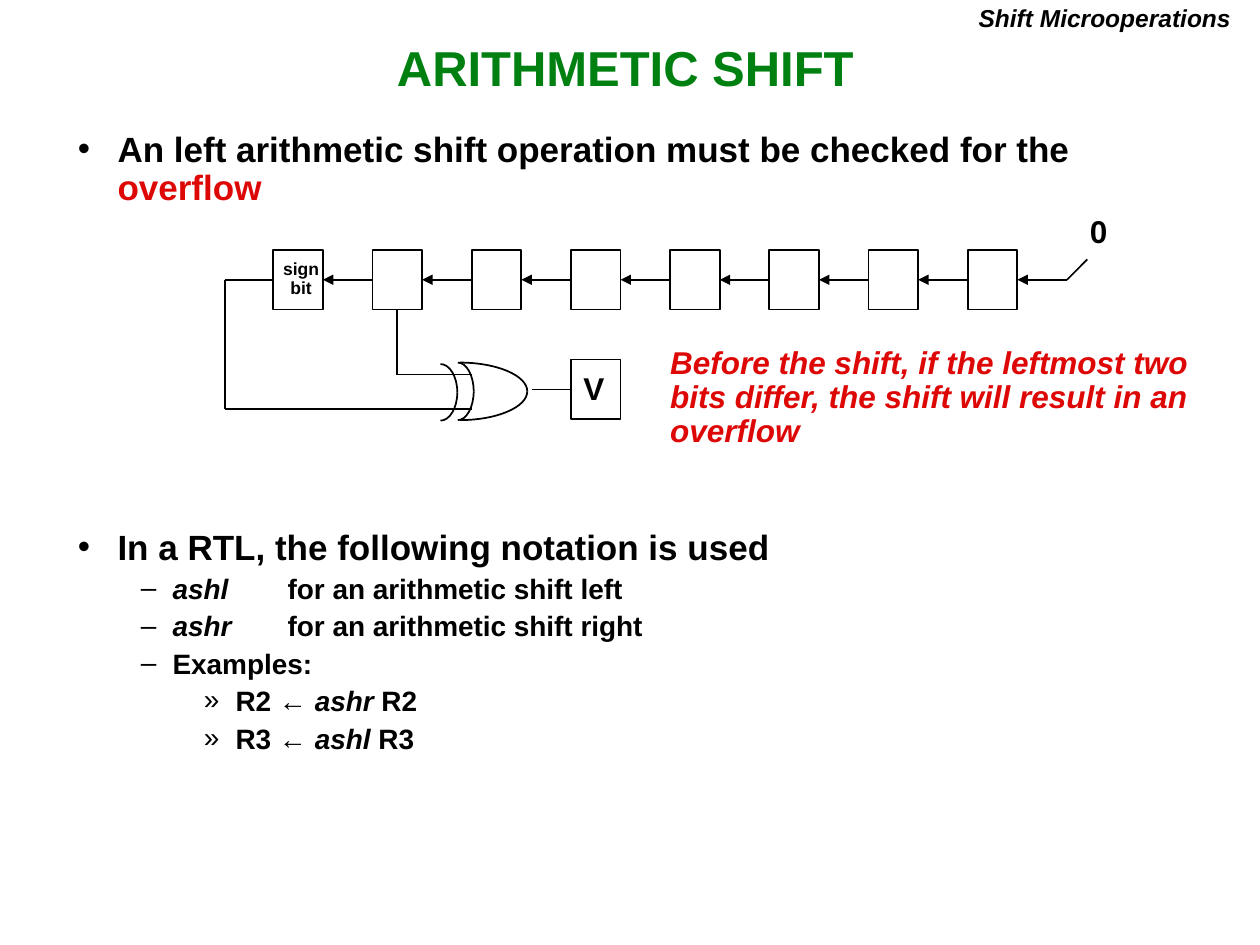
import itertools
from dataclasses import dataclass

from lxml import etree
from pptx import Presentation
from pptx.dml import color
from pptx.enum import shapes, text
from pptx.oxml import ns
from pptx.util import Cm, Pt

BLACK, GREEN, RED = "000000", "008011", "DD0806"
LEFT, CENTER, RIGHT = text.PP_ALIGN.LEFT, text.PP_ALIGN.CENTER, text.PP_ALIGN.RIGHT
SIDE_LEFT, SIDE_BOTTOM, SIDE_RIGHT = 1, 2, 3


@dataclass
class Run:
    text: str
    color: str = ""
    italic: bool = False


@dataclass
class Level:
    bullet: str
    margin: float
    indent: float
    size: float
    before: float
    tab: float = 0


@dataclass
class Item:
    level: Level
    runs: list[Run]


@dataclass
class Label:
    lines: list[str]
    left: float
    top: float
    width: float
    height: float
    size: float
    color: str = BLACK
    italic: bool = False
    align: text.PP_ALIGN = LEFT
    wrap: bool = False


@dataclass
class GateArc:
    """Upper and lower quarter ellipses that bulge to the right."""
    left: float
    center: float
    width: float
    height: float


POINT = Level("•", 0.8, -0.8, 20, 7.5)
SUBPOINT = Level("–", 1.91, -0.64, 16, 6, tab=4.23)
EXAMPLE = Level("»", 3.18, -0.64, 16, 6)

OVERFLOW_CHECK = [
    Item(POINT, [Run("An left arithmetic shift operation must be checked for the "),
                 Run("overflow", RED)]),
]
NOTATION = [
    Item(POINT, [Run("In a RTL, the following notation is used")]),
    Item(SUBPOINT, [Run("ashl\t", italic=True), Run("for an arithmetic shift left")]),
    Item(SUBPOINT, [Run("ashr\t", italic=True), Run("for an arithmetic shift right")]),
    Item(SUBPOINT, [Run("Examples:")]),
    Item(EXAMPLE, [Run("R2 ← "), Run("ashr", italic=True), Run(" R2")]),
    Item(EXAMPLE, [Run("R3 ← "), Run("ashl", italic=True), Run(" R3")]),
]
LABELS = [
    Label(["ARITHMETIC SHIFT"], 0.4, 0.76, 24.41, 1.22, 28, GREEN, align=CENTER, wrap=True),
    Label(["Shift Microoperations"], 19.48, 0, 5.59, 0.79, 14, italic=True, align=RIGHT),
    Label(["0"], 21.72, 4.24, 0.86, 0.94, 18),
    Label(["sign", "bit"], 5.42, 5.13, 1.3, 1.02, 10, align=CENTER),
    Label(["V"], 11.51, 7.41, 0.91, 0.94, 18),
    Label(["Before the shift, if the leftmost two",
           "bits differ, the shift will result in an",
           "overflow"], 13.26, 6.88, 10.97, 2.31, 18, RED, italic=True),
]

BITS, PITCH, CELL_W, CELL_H = 8, 2.0, 1.0, 1.2
REGISTER_X, REGISTER_Y = 5.51, 5.04
WIRE_Y = REGISTER_Y + CELL_H / 2
OVERFLOW_X, OVERFLOW_Y = 11.51, 7.25
FEEDBACK_X, UPPER_INPUT_Y, LOWER_INPUT_Y, INPUT_END_X = 4.53, 7.55, 8.24, 9.52
GATE_ARCS = [
    GateArc(9.27, 7.89, 1.36, 0.58),
    GateArc(9.23, 7.89, 0.32, 0.58),
    GateArc(8.88, 7.91, 0.34, 0.57),
]
ELLIPSE_HANDLE = 0.55


def rgb(value: str) -> color.RGBColor:
    return color.RGBColor.from_string(value)


def style_font(font, size: float, shade: str) -> None:
    font.name, font.size, font.bold = "Arial", Pt(size), True
    font.color.rgb = rgb(shade)


def style_outline(shape) -> None:
    shape.line.color.rgb = rgb(BLACK)
    shape.line.width = Pt(1)


def add_frame(slide, left: float, top: float, width: float, height: float, wrap: bool):
    frame = slide.shapes.add_textbox(Cm(left), Cm(top), Cm(width), Cm(height)).text_frame
    frame.word_wrap = wrap
    return frame


def nth_paragraph(frame, index: int):
    return frame.add_paragraph() if index else frame.paragraphs[0]


def add_label(slide, label: Label) -> None:
    frame = add_frame(slide, label.left, label.top, label.width, label.height, label.wrap)
    for index, line in enumerate(label.lines):
        paragraph = nth_paragraph(frame, index)
        paragraph.text = line
        paragraph.alignment = label.align
        paragraph.line_spacing = 0.9
        style_font(paragraph.font, label.size, label.color)
        paragraph.font.italic = label.italic


def add_bullet(paragraph, level: Level) -> None:
    properties = paragraph._p.get_or_add_pPr()
    properties.set("marL", str(Cm(level.margin)))
    properties.set("indent", str(Cm(level.indent)))
    bullet_color = etree.SubElement(properties, ns.qn("a:buClr"))
    etree.SubElement(bullet_color, ns.qn("a:srgbClr"), val=BLACK)
    etree.SubElement(properties, ns.qn("a:buFont"), typeface="Arial")
    etree.SubElement(properties, ns.qn("a:buChar"), char=level.bullet)
    if level.tab:
        tabs = etree.SubElement(properties, ns.qn("a:tabLst"))
        etree.SubElement(tabs, ns.qn("a:tab"), pos=str(Cm(level.tab)), algn="l")


def add_outline(slide, items: list[Item], top: float, height: float, spacing: float) -> None:
    frame = add_frame(slide, 1.32, top, 22.2, height, True)
    for index, item in enumerate(items):
        paragraph = nth_paragraph(frame, index)
        add_bullet(paragraph, item.level)
        paragraph.line_spacing = spacing
        paragraph.space_before = Pt(item.level.before if index else 0)
        style_font(paragraph.font, item.level.size, BLACK)
        for part in item.runs:
            run = paragraph.add_run()
            run.text = part.text
            if part.color:
                run.font.color.rgb = rgb(part.color)
            if part.italic:
                run.font.italic = True


def add_cell(slide, left: float, top: float):
    cell = slide.shapes.add_shape(
        shapes.MSO_SHAPE.RECTANGLE, Cm(left), Cm(top), Cm(CELL_W), Cm(CELL_H))
    cell.shadow.inherit = False
    cell.fill.background()
    style_outline(cell)
    return cell


def add_wire(slide, start: tuple[float, float], end: tuple[float, float], arrow: bool = False):
    wire = slide.shapes.add_connector(
        shapes.MSO_CONNECTOR.STRAIGHT, *(Cm(value) for value in (*start, *end)))
    style_outline(wire)
    if arrow:
        etree.SubElement(wire.line._get_or_add_ln(), ns.qn("a:tailEnd"), type="triangle")
    etree.SubElement(wire._element.spPr, ns.qn("a:effectLst"))
    return wire


def add_quarter(slide, arc: GateArc, direction: int) -> None:
    """Bend a single freeform segment into a quarter ellipse."""
    builder = slide.shapes.build_freeform(
        Cm(arc.left), Cm(arc.center + direction * arc.height))
    builder.add_line_segments([(Cm(arc.left + arc.width), Cm(arc.center))], close=False)
    quarter = builder.convert_to_shape()
    quarter.shadow.inherit = False
    quarter.fill.background()
    style_outline(quarter)

    width, height = quarter.width, quarter.height
    start_y, end_y = (0, height) if direction < 0 else (height, 0)
    bend_y = start_y + (end_y - start_y) * (1 - ELLIPSE_HANDLE)
    segment = next(quarter._element.iter(ns.qn("a:lnTo")))
    curve = etree.Element(ns.qn("a:cubicBezTo"))
    for x, y in ((width * ELLIPSE_HANDLE, start_y), (width, bend_y), (width, end_y)):
        etree.SubElement(curve, ns.qn("a:pt"), x=str(round(x)), y=str(round(y)))
    segment.getparent().replace(segment, curve)


def add_register(slide) -> list:
    cells = [add_cell(slide, REGISTER_X + bit * PITCH, REGISTER_Y) for bit in range(BITS)]
    for bit, cell in enumerate(cells):
        source_x = REGISTER_X + (bit + 1) * PITCH
        wire = add_wire(slide, (source_x, WIRE_Y), (source_x - CELL_W, WIRE_Y), arrow=True)
        if bit + 1 < BITS:
            wire.begin_connect(cells[bit + 1], SIDE_LEFT)
        wire.end_connect(cell, SIDE_RIGHT)
    zero_x = REGISTER_X + BITS * PITCH
    add_wire(slide, (zero_x, WIRE_Y), (zero_x + 0.41, WIRE_Y - 0.41))
    return cells


def add_overflow_detector(slide, sign_cell, next_cell) -> None:
    for arc, direction in itertools.product(GATE_ARCS, (-1, 1)):
        add_quarter(slide, arc, direction)
    overflow_cell = add_cell(slide, OVERFLOW_X, OVERFLOW_Y)
    output_y = OVERFLOW_Y + CELL_H / 2
    drop_x = REGISTER_X + PITCH + CELL_W / 2

    sign_wire = add_wire(slide, (REGISTER_X, WIRE_Y), (FEEDBACK_X, WIRE_Y))
    sign_wire.begin_connect(sign_cell, SIDE_LEFT)
    add_wire(slide, (FEEDBACK_X, WIRE_Y), (FEEDBACK_X, LOWER_INPUT_Y))
    add_wire(slide, (INPUT_END_X, LOWER_INPUT_Y), (FEEDBACK_X, LOWER_INPUT_Y))
    drop = add_wire(slide, (drop_x, REGISTER_Y + CELL_H), (drop_x, UPPER_INPUT_Y))
    drop.begin_connect(next_cell, SIDE_BOTTOM)
    add_wire(slide, (INPUT_END_X, UPPER_INPUT_Y), (drop_x, UPPER_INPUT_Y))
    output = add_wire(slide, (10.72, output_y), (OVERFLOW_X, output_y))
    output.end_connect(overflow_cell, SIDE_LEFT)


def main() -> None:
    deck = Presentation()
    deck.slide_width, deck.slide_height = Cm(25.4), Cm(19.05)
    slide = deck.slides.add_slide(deck.slide_layouts[6])
    add_outline(slide, OVERFLOW_CHECK, top=2.54, height=2.69, spacing=0.9)
    sign_cell, next_cell, *_ = add_register(slide)
    add_overflow_detector(slide, sign_cell, next_cell)
    add_outline(slide, NOTATION, top=10.64, height=5.0, spacing=0.8)
    for label in LABELS:
        add_label(slide, label)
    deck.save("out.pptx")


if __name__ == "__main__":
    main()
